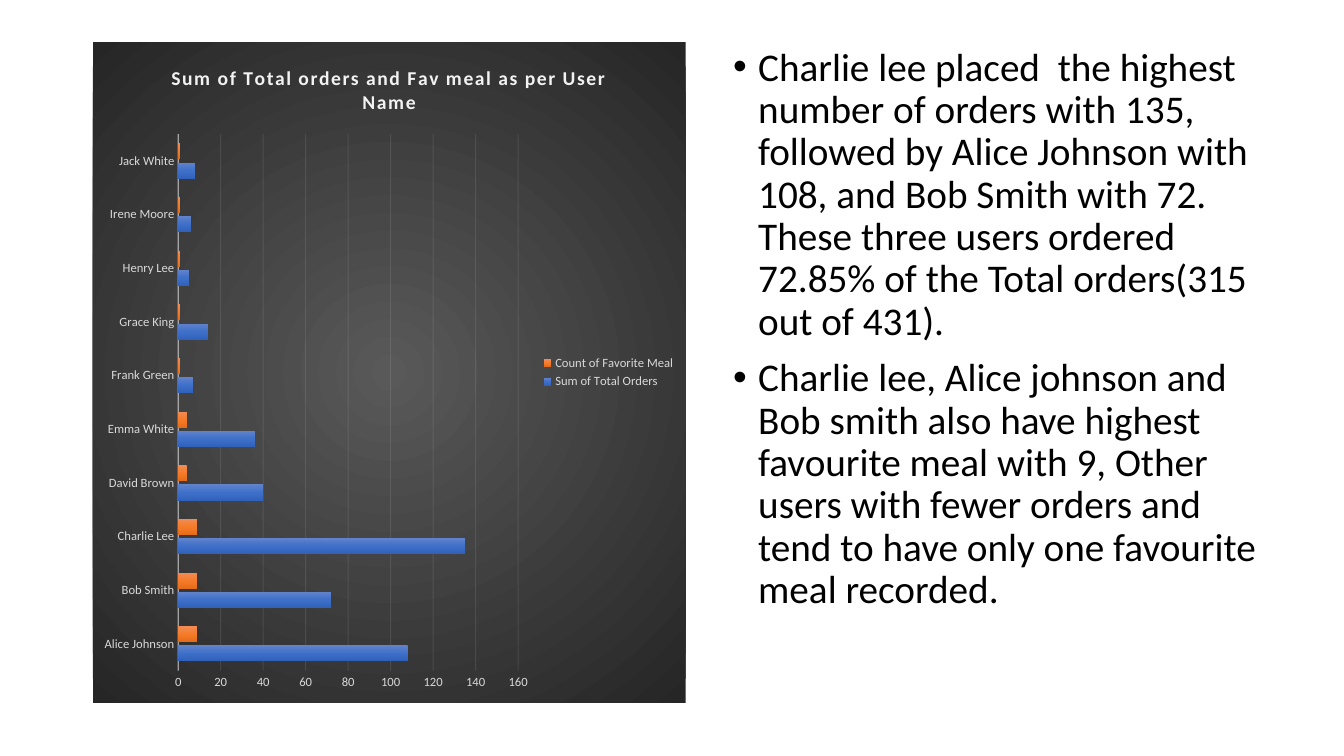
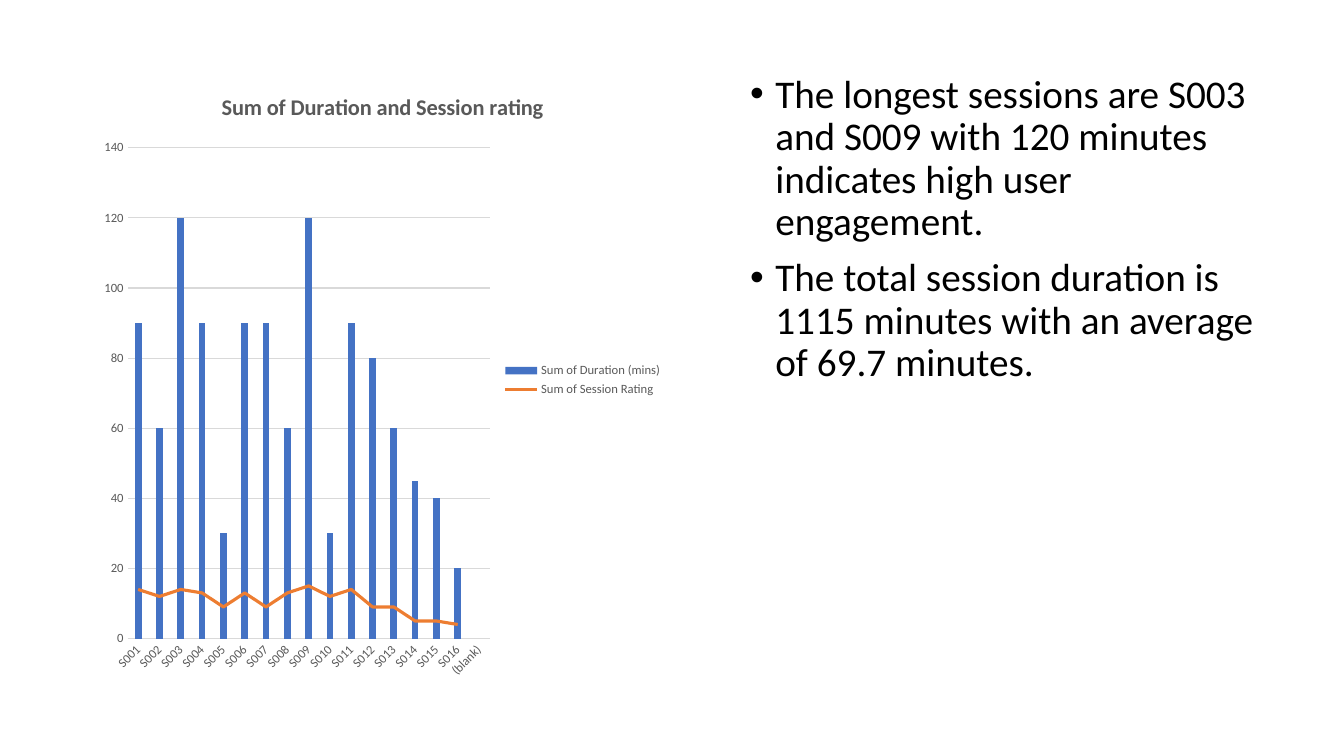
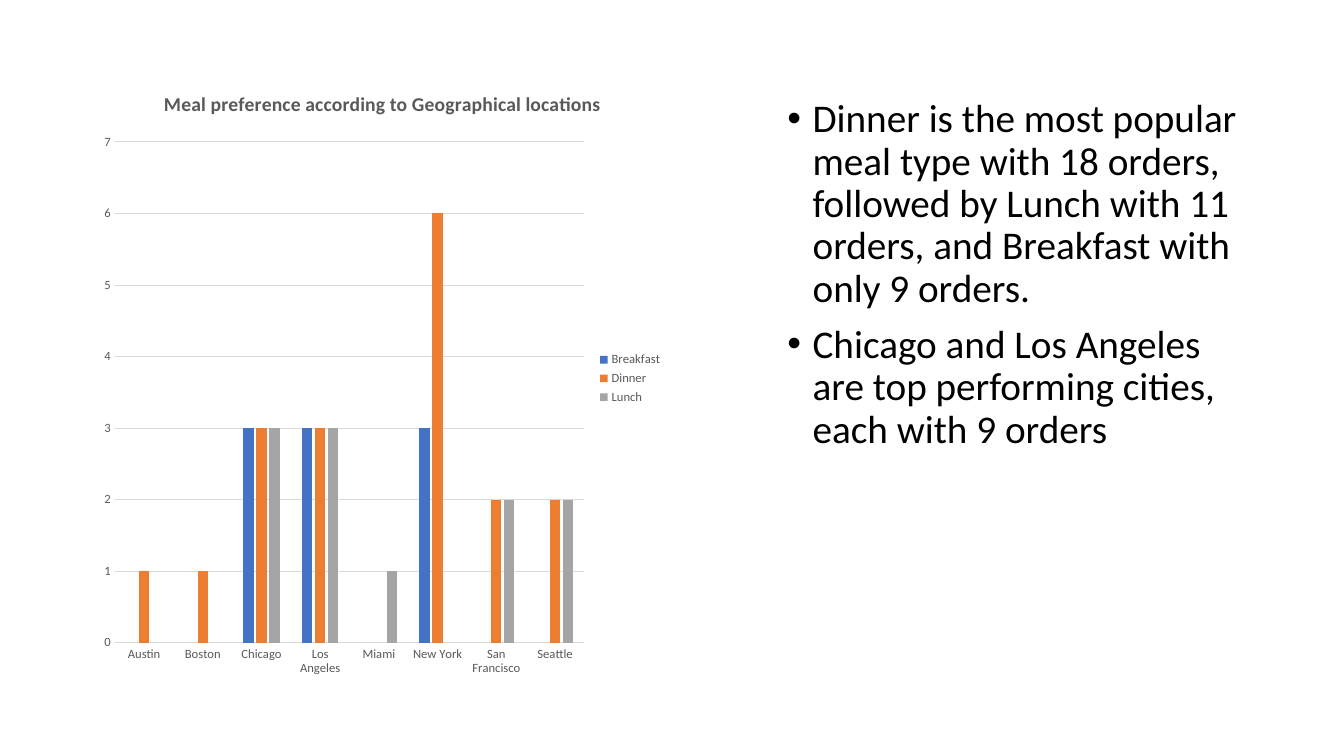
from dataclasses import dataclass
from typing import Optional, Union

from pptx import Presentation
from pptx.chart.axis import CategoryAxis, ValueAxis
from pptx.chart.chart import Chart
from pptx.chart.data import CategoryChartData
from pptx.chart.series import BarSeries
from pptx.dml.color import RGBColor
from pptx.dml.line import LineFormat
from pptx.enum.chart import XL_CHART_TYPE as ChartType
from pptx.enum.chart import XL_LEGEND_POSITION as LegendPosition
from pptx.enum.chart import XL_MARKER_STYLE as MarkerStyle
from pptx.enum.chart import XL_TICK_MARK as TickMark
from pptx.enum.text import MSO_ANCHOR, MSO_AUTO_SIZE
from pptx.oxml import parse_xml
from pptx.oxml.ns import nsdecls, qn
from pptx.slide import Slide
from pptx.text.text import Font
from pptx.util import Inches, Pt


@dataclass(frozen=True)
class Theme:
    font: str = "Calibri"
    text: str = "000000"
    blue: str = "4472C4"
    orange: str = "ED7D31"
    grey: str = "A5A5A5"
    body_size: float = 28
    label_size: float = 9
    hairline: float = 0.75
    trend_line: float = 2.25


THEME = Theme()


@dataclass(frozen=True)
class Box:
    left: float
    top: float
    width: float
    height: float

    def lengths(self) -> tuple:
        return tuple(Inches(v) for v in (self.left, self.top, self.width, self.height))


@dataclass(frozen=True)
class Gradient:
    stops: tuple[tuple[int, str], ...]
    radial: bool = False


@dataclass(frozen=True)
class Stroke:
    color: str
    width: float = THEME.hairline
    opacity: int = 100


@dataclass(frozen=True)
class ChartStyle:
    title: str
    label: str
    axis: Stroke
    grid: Stroke
    gap: int
    overlap: int
    title_spacing: int = 0
    background: Optional[Gradient] = None


LIGHT = ChartStyle("595959", "595959", Stroke("D9D9D9"), Stroke("D9D9D9"), 219, -27)
DARK = ChartStyle(
    "F2F2F2", "D9D9D9", Stroke("F2F2F2", 1, 54), Stroke("F2F2F2", opacity=10), 115, -20,
    title_spacing=100,
    background=Gradient(((0, "595959"), (100, "262626")), radial=True),
)
BLUE_GLOSS = Gradient(((0, "6183CB"), (50, "3E70CA"), (100, "3062BB")))
ORANGE_GLOSS = Gradient(((0, "F18C57"), (50, "F67B28"), (100, "E56C19")))


@dataclass(frozen=True)
class Series:
    name: str
    values: tuple[Optional[float], ...]
    fill: Union[str, Gradient]
    as_line: bool = False


@dataclass(frozen=True)
class ChartSlide:
    title: str
    title_size: float
    chart_box: Box
    chart_type: ChartType
    style: ChartStyle
    categories: tuple[str, ...]
    series: tuple[Series, ...]
    text_box: Box
    bullets: tuple[str, ...]


SLIDES = (
    ChartSlide(
        "Sum of Total orders and Fav meal as per User Name", 14,
        Box(0.92, 0.42, 5.88, 6.55), ChartType.BAR_CLUSTERED, DARK,
        ("Alice Johnson", "Bob Smith", "Charlie Lee", "David Brown", "Emma White",
         "Frank Green", "Grace King", "Henry Lee", "Irene Moore", "Jack White"),
        (
            Series("Sum of Total Orders", (108, 72, 135, 40, 36, 7, 14, 5, 6, 8), BLUE_GLOSS),
            Series("Count of Favorite Meal", (9, 9, 9, 4, 4, 1, 1, 1, 1, 1), ORANGE_GLOSS),
        ),
        Box(7.17, 0.42, 5.46, 6.55),
        (
            "Charlie lee placed  the highest number of orders with 135, followed by "
            "Alice Johnson with 108, and Bob Smith with 72. These three users ordered "
            "72.85% of the Total orders(315 out of 431).",
            "Charlie lee, Alice johnson and Bob smith also have highest favourite meal "
            "with 9, Other users with fewer orders and tend to have only one favourite "
            "meal recorded.",
        ),
    ),
    ChartSlide(
        "Sum of Duration and Session rating", 16,
        Box(0.92, 0.69, 5.75, 6.16), ChartType.COLUMN_CLUSTERED, LIGHT,
        (*(f"S{number:03}" for number in range(1, 17)), "(blank)"),
        (
            Series("Sum of Duration (mins)",
                   (90, 60, 120, 90, 30, 90, 90, 60, 120, 30, 90, 80, 60, 45, 40, 20, None),
                   THEME.blue),
            Series("Sum of Session Rating",
                   (14, 12, 14, 13, 9, 13, 9, 13, 15, 12, 14, 9, 9, 5, 5, 4, None),
                   THEME.orange, as_line=True),
        ),
        Box(7.34, 0.69, 5.24, 6.07),
        (
            "The longest sessions are S003 and S009 with 120 minutes indicates high "
            "user engagement.",
            "The total session duration is 1115 minutes with an average of 69.7 minutes.",
        ),
    ),
    ChartSlide(
        "Meal preference according to Geographical locations", 14,
        Box(0.92, 0.68, 5.75, 6.15), ChartType.COLUMN_CLUSTERED, LIGHT,
        ("Austin", "Boston", "Chicago", "Los Angeles", "Miami", "New York",
         "San Francisco", "Seattle"),
        (
            Series("Breakfast", (None, None, 3, 3, None, 3, None, None), THEME.blue),
            Series("Dinner", (1, 1, 3, 3, None, 6, 2, 2), THEME.orange),
            Series("Lunch", (None, None, 3, 3, 1, None, 2, 2), THEME.grey),
        ),
        Box(7.71, 0.93, 4.7, 5.72),
        (
            "Dinner is the most popular meal type with 18 orders, followed by Lunch "
            "with 11 orders, and Breakfast with only 9 orders.",
            "Chicago and Los Angeles are top performing cities, each with 9 orders",
        ),
    ),
)


def set_font(font: Font, size: float, color: str, bold: bool = False) -> None:
    font.name = THEME.font
    font.size = Pt(size)
    font.bold = bold
    font.color.rgb = RGBColor.from_string(color)


def set_stroke(line: LineFormat, stroke: Stroke) -> None:
    line.width = Pt(stroke.width)
    line.color.rgb = RGBColor.from_string(stroke.color)
    if stroke.opacity < 100:
        color = line._ln.find(f".//{qn('a:srgbClr')}")
        color.append(parse_xml(f'<a:alpha {nsdecls("a")} val="{stroke.opacity * 1000}"/>'))


def gradient_xml(gradient: Gradient) -> str:
    stops = "".join(
        f'<a:gs pos="{position * 1000}"><a:srgbClr val="{color}"/></a:gs>'
        for position, color in gradient.stops
    )
    direction = (
        '<a:path path="circle"><a:fillToRect l="50000" t="50000" r="50000" b="50000"/></a:path>'
        if gradient.radial else '<a:lin ang="5400000" scaled="0"/>'
    )
    return f'<a:gradFill {nsdecls("a")}><a:gsLst>{stops}</a:gsLst>{direction}</a:gradFill>'


def fill_series(series: BarSeries, fill: Union[str, Gradient]) -> None:
    series.invert_if_negative = False
    if isinstance(fill, Gradient):
        series._element.get_or_add_spPr().append(parse_xml(gradient_xml(fill)))
    else:
        series.format.fill.solid()
        series.format.fill.fore_color.rgb = RGBColor.from_string(fill)


def move_to_line_plot(chart: Chart, series: BarSeries, color: str) -> None:
    bar_plot = chart.plots[0]._element
    line_plot = parse_xml(
        f'<c:lineChart {nsdecls("c")}><c:grouping val="standard"/>'
        '<c:varyColors val="0"/><c:marker val="1"/></c:lineChart>'
    )
    element = series._element
    for inversion in element.findall(qn("c:invertIfNegative")):
        element.remove(inversion)
    line_plot.insert(2, element)
    for axis_id in bar_plot.findall(qn("c:axId")):
        line_plot.append(parse_xml(f'<c:axId {nsdecls("c")} val="{axis_id.get("val")}"/>'))
    bar_plot.addnext(line_plot)
    line_series = chart.plots[1].series[0]
    line_series.smooth = False
    line_series.marker.style = MarkerStyle.NONE
    set_stroke(line_series.format.line, Stroke(color, THEME.trend_line))


def style_axis(axis: Union[CategoryAxis, ValueAxis], style: ChartStyle) -> None:
    axis.major_tick_mark = axis.minor_tick_mark = TickMark.NONE
    set_font(axis.tick_labels.font, THEME.label_size, style.label)
    axis._element.find(f"{qn('c:txPr')}/{qn('a:bodyPr')}").set("rot", "-60000000")


def add_title(chart: Chart, content: ChartSlide) -> None:
    chart.has_title = True
    chart.chart_title.include_in_layout = False
    run = chart.chart_title.text_frame.paragraphs[0].add_run()
    run.text = content.title
    set_font(run.font, content.title_size, content.style.title, bold=True)
    if content.style.title_spacing:
        run._r.get_or_add_rPr().set("spc", str(content.style.title_spacing))


def add_chart(slide: Slide, content: ChartSlide) -> None:
    data = CategoryChartData()
    data.categories = content.categories
    for series in content.series:
        data.add_series(series.name, series.values)
    chart = slide.shapes.add_chart(
        content.chart_type, *content.chart_box.lengths(), data
    ).chart
    style = content.style
    set_font(chart.font, 10, THEME.text)
    add_title(chart, content)

    chart.has_legend = True
    chart.legend.position = LegendPosition.RIGHT
    chart.legend.include_in_layout = False
    set_font(chart.legend.font, THEME.label_size, style.label)

    for axis in (chart.category_axis, chart.value_axis):
        style_axis(axis, style)
    set_stroke(chart.category_axis.format.line, style.axis)
    chart.value_axis.format.line.fill.background()
    chart.value_axis.has_major_gridlines = True
    set_stroke(chart.value_axis.major_gridlines.format.line, style.grid)

    plot = chart.plots[0]
    plot.vary_by_categories = False
    plot.gap_width = style.gap
    plot.overlap = style.overlap
    for drawn, series in zip(list(plot.series), content.series):
        if series.as_line:
            move_to_line_plot(chart, drawn, series.fill)
        else:
            fill_series(drawn, series.fill)

    if style.background:
        background = parse_xml(
            f'<c:spPr {nsdecls("c", "a")}>{gradient_xml(style.background)}'
            "<a:ln><a:noFill/></a:ln></c:spPr>"
        )
        chart.element.find(qn("c:chart")).addnext(background)


def add_bullets(slide: Slide, content: ChartSlide) -> None:
    body = slide.placeholders[1]
    body.left, body.top, body.width, body.height = content.text_box.lengths()
    frame = body.text_frame
    frame.word_wrap = True
    frame.auto_size = MSO_AUTO_SIZE.NONE
    frame.vertical_anchor = MSO_ANCHOR.TOP
    for index, text in enumerate(content.bullets):
        paragraph = frame.add_paragraph() if index else frame.paragraphs[0]
        paragraph.line_spacing = 0.9
        paragraph.space_before = Pt(10)
        properties = paragraph._p.get_or_add_pPr()
        properties.set("marL", str(Inches(0.25)))
        properties.set("indent", str(Inches(-0.25)))
        properties.append(parse_xml(f'<a:buFont {nsdecls("a")} typeface="Arial"/>'))
        properties.append(parse_xml(f'<a:buChar {nsdecls("a")} char="•"/>'))
        run = paragraph.add_run()
        run.text = text
        set_font(run.font, THEME.body_size, THEME.text)


def main() -> None:
    presentation = Presentation()
    presentation.slide_width = Inches(13.33)
    presentation.slide_height = Inches(7.5)
    for content in SLIDES:
        slide = presentation.slides.add_slide(presentation.slide_layouts[1])
        title = slide.shapes.title._element
        title.getparent().remove(title)
        add_bullets(slide, content)
        add_chart(slide, content)
    presentation.save("out.pptx")


if __name__ == "__main__":
    main()
